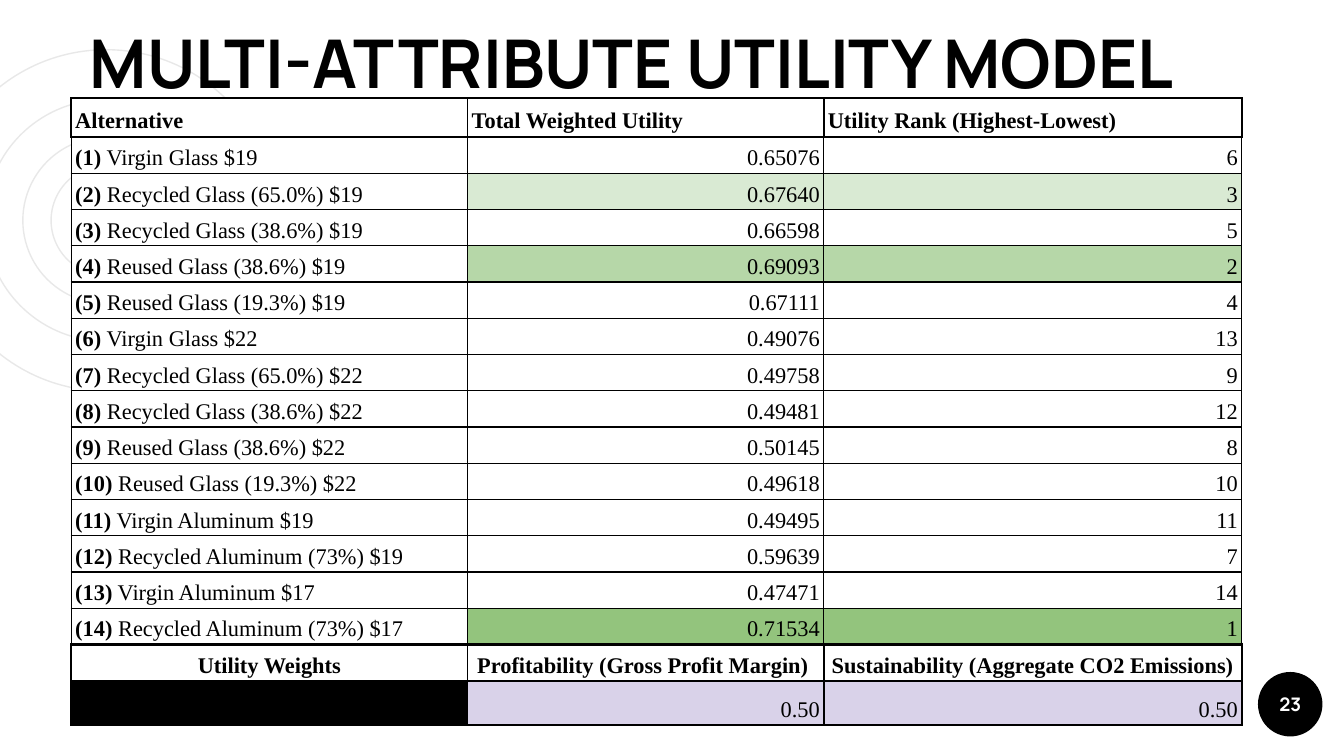
from lxml.etree import SubElement
from pptx import Presentation
from pptx.dml.color import RGBColor
from pptx.enum.shapes import MSO_SHAPE as Shape
from pptx.enum.text import MSO_ANCHOR as Anchor, PP_ALIGN as Align
from pptx.oxml.ns import qn
from pptx.util import Inches, Pt

TITLE = "MULTI-ATTRIBUTE UTILITY MODEL"
PAGE = "23"
HEADER = ["Alternative", "Total Weighted Utility", "Utility Rank (Highest-Lowest)"]
ALTERNATIVES = [
    ("Virgin Glass $19", "0.65076", 6),
    ("Recycled Glass (65.0%) $19", "0.67640", 3),
    ("Recycled Glass (38.6%) $19", "0.66598", 5),
    ("Reused Glass (38.6%) $19", "0.69093", 2),
    ("Reused Glass (19.3%) $19", "0.67111", 4),
    ("Virgin Glass $22", "0.49076", 13),
    ("Recycled Glass (65.0%) $22", "0.49758", 9),
    ("Recycled Glass (38.6%) $22", "0.49481", 12),
    ("Reused Glass (38.6%) $22", "0.50145", 8),
    ("Reused Glass (19.3%) $22", "0.49618", 10),
    ("Virgin Aluminum $19", "0.49495", 11),
    ("Recycled Aluminum (73%) $19", "0.59639", 7),
    ("Virgin Aluminum $17", "0.47471", 14),
    ("Recycled Aluminum (73%) $17", "0.71534", 1),
]
WEIGHT_HEADER = ["Utility Weights", "Profitability (Gross Profit Margin) ",
                 "Sustainability (Aggregate CO2 Emissions)"]
WEIGHTS = ["", "0.50", "0.50"]

BLACK, WHITE, RING_GRAY, LILAC = "000000", "FFFFFF", "E8E8E8", "D9D2E9"
RANK_FILLS = {1: "93C47D", 2: "B6D7A8", 3: "D9EAD3"}
TITLE_FONT, TABLE_FONT = "Manrope", "Times New Roman"
RING_CENTER = (0.79, 1.64)
RING_SIZES = [2.54, 1.24, 1.8, 0.82]
BADGE = (9.36, 5, 0.48, 0.48)
COLUMN_WIDTHS = [2.95, 2.65, 3.11]
HEADER_HEIGHT, ROW_HEIGHT, LAST_ALTERNATIVE_HEIGHT, WEIGHTS_HEIGHT = 0.29, 0.22, 0.26, 0.33
THIN, NORMAL, THICK = 0.75, 1, 2.25


def rgb(color):
    return RGBColor.from_string(color)


def add_run(paragraph, text, size, font, color=BLACK, bold=True):
    run = paragraph.add_run()
    run.text = text
    run.font.size = Pt(size)
    run.font.name = font
    run.font.bold = bold
    run.font.color.rgb = rgb(color)


def add_circle(slide, left, top, width, height, fill=None, line=None):
    circle = slide.shapes.add_shape(
        Shape.OVAL, Inches(left), Inches(top), Inches(width), Inches(height))
    circle.shadow.inherit = False
    if fill:
        circle.fill.solid()
        circle.fill.fore_color.rgb = rgb(fill)
    else:
        circle.fill.background()
    if line:
        circle.line.color.rgb = rgb(line)
        circle.line.width = Pt(THIN)
    else:
        circle.line.fill.background()


def add_label(slide, place, text, size, color, anchor, align):
    label = slide.shapes.add_textbox(*[Inches(length) for length in place])
    frame = label.text_frame
    frame.word_wrap = True
    frame.vertical_anchor = anchor
    frame.margin_left = frame.margin_right = Inches(0.1)
    frame.margin_top = frame.margin_bottom = Inches(0.1)
    frame.paragraphs[0].alignment = align
    add_run(frame.paragraphs[0], text, size, TITLE_FONT, color)


def fill_cell(cell, runs, align, fill=WHITE, side=NORMAL, top=NORMAL, bottom=NORMAL, inset=0.02):
    cell.vertical_anchor = Anchor.BOTTOM
    cell.margin_left = cell.margin_right = Inches(0.03)
    cell.margin_top = cell.margin_bottom = Inches(inset)
    properties = cell._tc.get_or_add_tcPr()
    for edge, width in zip("LRTB", (side, side, top, bottom)):
        border = SubElement(properties, qn(f"a:ln{edge}"), w=str(Pt(width)))
        SubElement(SubElement(border, qn("a:solidFill")), qn("a:srgbClr"), val=BLACK)
    cell.fill.solid()
    cell.fill.fore_color.rgb = rgb(fill)
    paragraph = cell.text_frame.paragraphs[0]
    paragraph.alignment = align
    paragraph.line_spacing = 1.15
    for text, bold in runs:
        add_run(paragraph, text, 12, TABLE_FONT, bold=bold)


def add_utility_table(slide):
    heights = ([HEADER_HEIGHT] + [ROW_HEIGHT] * (len(ALTERNATIVES) - 1)
               + [LAST_ALTERNATIVE_HEIGHT, ROW_HEIGHT, WEIGHTS_HEIGHT])
    table = slide.shapes.add_table(
        len(heights), len(COLUMN_WIDTHS), Inches(0.53), Inches(0.73),
        Inches(sum(COLUMN_WIDTHS)), Inches(sum(heights))).table
    table.first_row = table.horz_banding = False
    for column, width in zip(table.columns, COLUMN_WIDTHS):
        column.width = Inches(width)
    for row, height in zip(table.rows, heights):
        row.height = Inches(height)

    for column, heading in enumerate(HEADER):
        fill_cell(table.cell(0, column), [(heading, True)], Align.LEFT, bottom=THIN, inset=0.03)

    count = len(ALTERNATIVES)
    for number, (name, utility, rank) in enumerate(ALTERNATIVES, 1):
        bottom = THICK if number == count else THIN
        fill_cell(table.cell(number, 0), [(f"({number})", True), (f" {name}", False)],
                  Align.LEFT, side=THIN, top=THIN, bottom=bottom)
        for column, value in enumerate((utility, str(rank)), 1):
            fill_cell(table.cell(number, column), [(value, False)], Align.RIGHT,
                      RANK_FILLS.get(rank, WHITE), side=THIN, top=THIN, bottom=bottom)

    for column, (heading, weight) in enumerate(zip(WEIGHT_HEADER, WEIGHTS)):
        fill_cell(table.cell(count + 1, column), [(heading, True)], Align.CENTER, top=THICK)
        fill_cell(table.cell(count + 2, column), [(weight, False)] if weight else [],
                  Align.RIGHT, LILAC if weight else BLACK, inset=0.02 if weight else 0)


def main():
    deck = Presentation()
    deck.slide_width = Inches(10)
    deck.slide_height = deck.slide_width * 9 // 16
    slide = deck.slides.add_slide(deck.slide_layouts[6])
    center_x, center_y = RING_CENTER
    for size in RING_SIZES:
        add_circle(slide, center_x - size / 2, center_y - size / 2, size, size, line=RING_GRAY)
    add_circle(slide, *BADGE, fill=BLACK)
    add_label(slide, (0.57, 0.11, 8.62, 0.75), TITLE, 36, BLACK, Anchor.BOTTOM, Align.LEFT)
    add_label(slide, BADGE, PAGE, 10, WHITE, Anchor.MIDDLE, Align.CENTER)
    add_utility_table(slide)
    deck.save("out.pptx")


if __name__ == "__main__":
    main()
